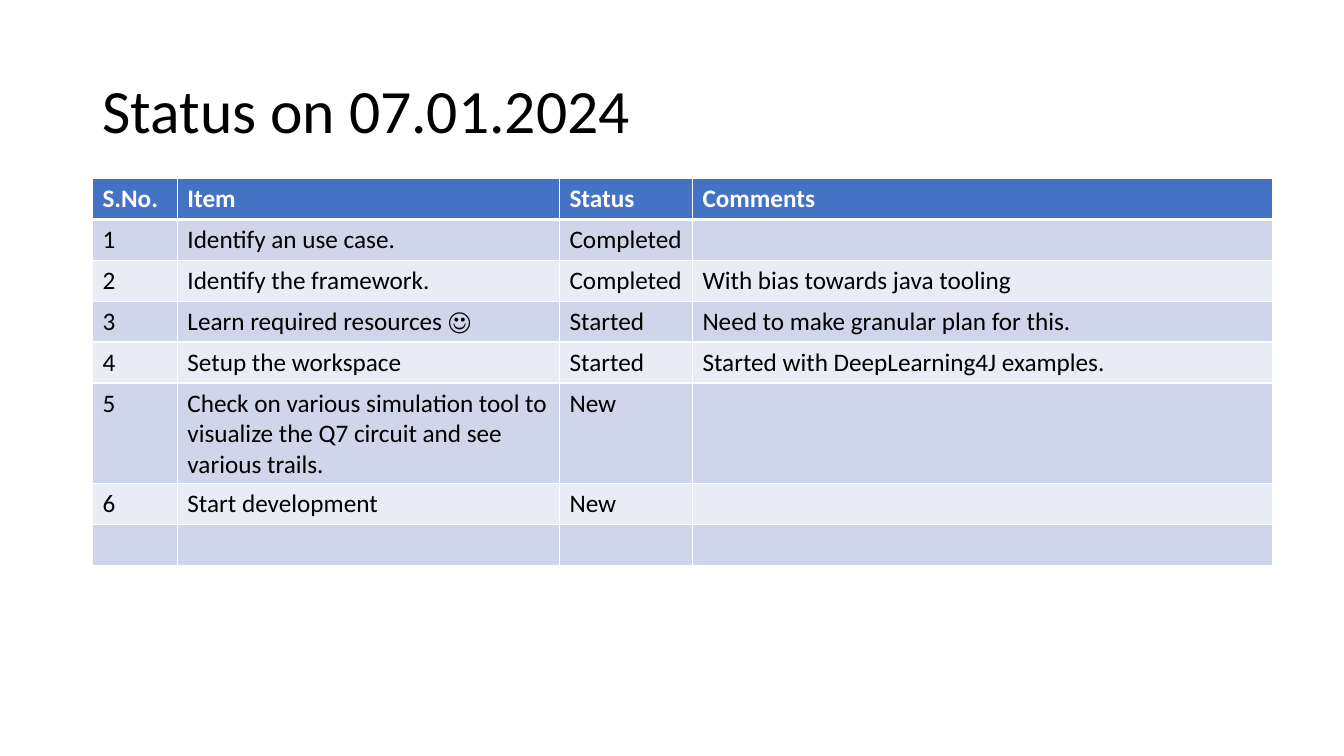
"""Build the project status slide with its table of items."""
from lxml import etree
from pptx import Presentation
from pptx import util as u
from pptx.dml.color import RGBColor
from pptx.enum import text
from pptx.oxml.ns import qn

TITLE = "Status on 07.01.2024"
ROWS = [
    ("S.No.", "Item", "Status", "Comments"),
    ("1", "Identify an use case.", "Completed", ""),
    ("2", "Identify the framework.", "Completed", "With bias towards java tooling"),
    ("3", "Learn required resources ☺", "Started", "Need to make granular plan for this."),
    ("4", "Setup the workspace", "Started", "Started with DeepLearning4J examples."),
    ("5", "Check on various simulation tool to visualize the Q7 circuit and see various trails.", "New", ""),
    ("6", "Start development", "New", ""),
    ("", "", "", ""),
]
COLUMN_WIDTHS = (2.14, 9.63, 3.35, 14.61)
ROW_HEIGHT = 1.03
LEFT, TITLE_TOP, TABLE_TOP = 2.33, 1.01, 4.5
TITLE_WIDTH, TITLE_HEIGHT = 29.21, 3.68

THEME = {
    "font": "Calibri",
    "title_size": 44,
    "body_size": 18,
    "text": "000000",
    "header_text": "FFFFFF",
    "header_fill": "4472C4",
    "bands": ("CFD5EA", "E9EBF5"),
    "border": "FFFFFF",
    "thin": 1,
    "thick": 3,
}


def format_text(frame, size, color, bold=False):
    for paragraph in frame.paragraphs:
        for run in paragraph.runs:
            run.font.name = THEME["font"]
            run.font.size = u.Pt(size)
            run.font.bold = bold
            run.font.color.rgb = RGBColor.from_string(color)


def add_title(slide):
    box = slide.shapes.add_textbox(u.Cm(LEFT), u.Cm(TITLE_TOP), u.Cm(TITLE_WIDTH), u.Cm(TITLE_HEIGHT))
    frame = box.text_frame
    frame.word_wrap = True
    frame.vertical_anchor = text.MSO_ANCHOR.MIDDLE
    frame.text = TITLE
    frame.paragraphs[0].line_spacing = 0.9
    format_text(frame, THEME["title_size"], THEME["text"])


def set_borders(cell, row_index):
    properties = cell._tc.get_or_add_tcPr()
    thick_side = {0: "B", 1: "T"}.get(row_index)
    for side in "LRTB":
        width = THEME["thick"] if side == thick_side else THEME["thin"]
        line = etree.SubElement(properties, qn(f"a:ln{side}"), w=str(u.Pt(width)))
        fill = etree.SubElement(line, qn("a:solidFill"))
        etree.SubElement(fill, qn("a:srgbClr"), val=THEME["border"])


def add_status_table(slide):
    table = slide.shapes.add_table(
        len(ROWS), len(COLUMN_WIDTHS), u.Cm(LEFT), u.Cm(TABLE_TOP),
        u.Cm(sum(COLUMN_WIDTHS)), u.Cm(ROW_HEIGHT * len(ROWS))).table
    for column, width in zip(table.columns, COLUMN_WIDTHS):
        column.width = u.Cm(width)
    for row_index, values in enumerate(ROWS):
        table.rows[row_index].height = u.Cm(ROW_HEIGHT)
        header = row_index == 0
        fill = THEME["header_fill"] if header else THEME["bands"][(row_index - 1) % 2]
        color = THEME["header_text"] if header else THEME["text"]
        for column_index, value in enumerate(values):
            cell = table.cell(row_index, column_index)
            set_borders(cell, row_index)
            cell.fill.solid()
            cell.fill.fore_color.rgb = RGBColor.from_string(fill)
            if value:
                cell.text_frame.text = value
                format_text(cell.text_frame, THEME["body_size"], color, header)


def main():
    presentation = Presentation()
    presentation.slide_width, presentation.slide_height = u.Cm(33.87), u.Cm(19.05)
    slide = presentation.slides.add_slide(presentation.slide_layouts[6])
    add_title(slide)
    add_status_table(slide)
    presentation.save("out.pptx")


if __name__ == "__main__":
    main()
